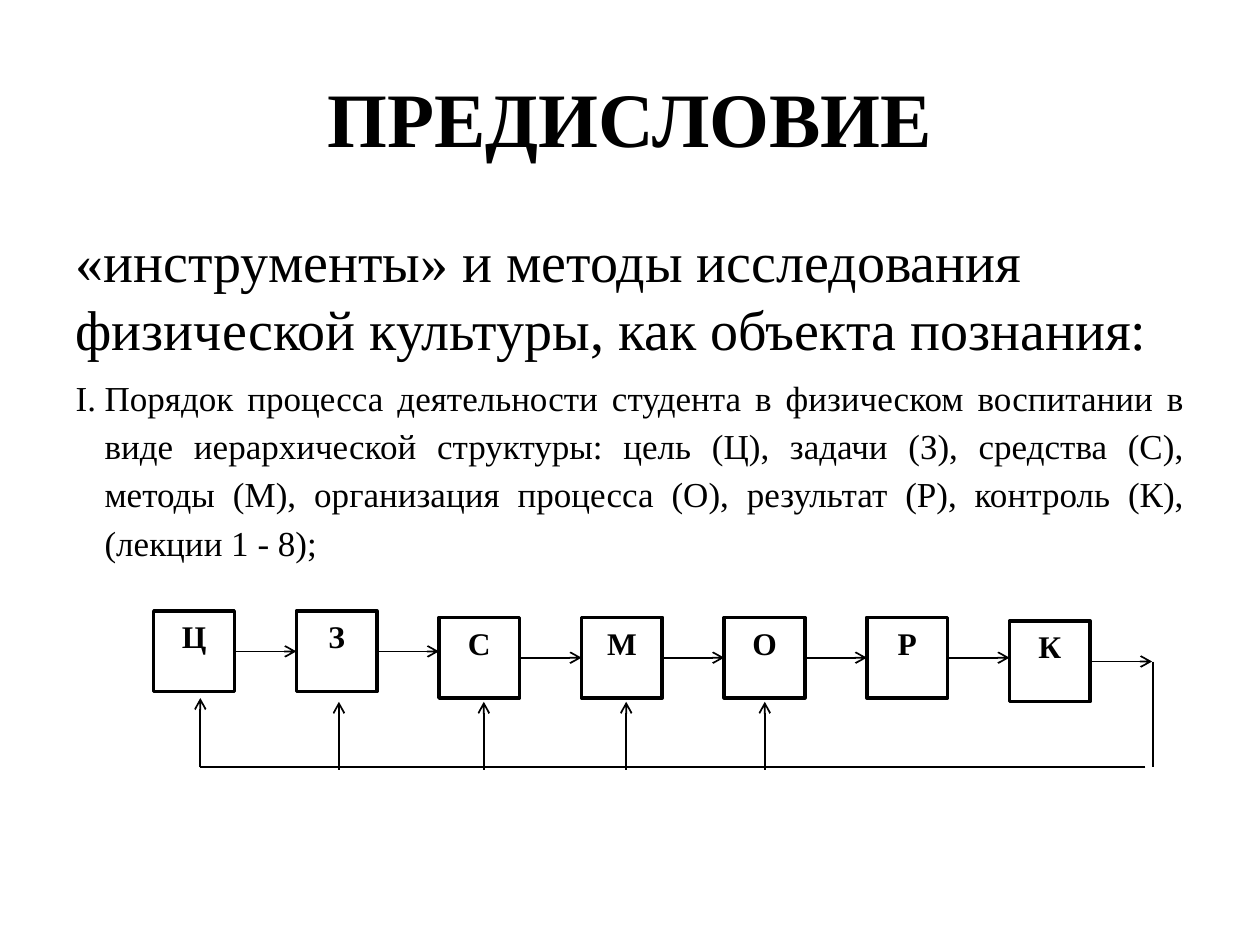
"""Build the preface slide: a heading, an intro with one numbered item, and a feedback chain of seven stages."""
from lxml import etree
from pptx import Presentation
from pptx.dml.color import RGBColor
from pptx.enum.shapes import MSO_CONNECTOR, MSO_SHAPE
from pptx.enum.text import MSO_ANCHOR, MSO_AUTO_SIZE, PP_ALIGN
from pptx.oxml.ns import qn
from pptx.util import Inches, Pt

STRAIGHT = MSO_CONNECTOR.STRAIGHT
RECTANGLE = MSO_SHAPE.RECTANGLE
TOP, MIDDLE = MSO_ANCHOR.TOP, MSO_ANCHOR.MIDDLE
CENTER, LEFT, JUSTIFY = PP_ALIGN.CENTER, PP_ALIGN.LEFT, PP_ALIGN.JUSTIFY
NO_AUTOFIT = MSO_AUTO_SIZE.NONE
LEFT_SIDE, RIGHT_SIDE = 1, 3
BLACK, WHITE = "000000", "FFFFFF"


def format_paragraph(paragraph, text, size, align, bold=False):
    paragraph.text = text
    paragraph.alignment = align
    paragraph.font.name = "Times New Roman"
    paragraph.font.size = Pt(size)
    paragraph.font.bold = bold
    paragraph.font.color.rgb = RGBColor.from_string(BLACK)


def add_line(x1, y1, x2, y2, arrow=True):
    line = slide.shapes.add_connector(STRAIGHT, Inches(x1), Inches(y1), Inches(x2), Inches(y2))
    line.line.color.rgb = RGBColor.from_string(BLACK)
    line.line.width = Pt(1)
    if arrow:
        etree.SubElement(line.line._get_or_add_ln(), qn("a:tailEnd"), type="arrow")
    etree.SubElement(line._element.spPr, qn("a:effectLst"))
    return line


presentation = Presentation()
presentation.slide_width, presentation.slide_height = Inches(10), Inches(7.5)
slide = presentation.slides.add_slide(presentation.slide_layouts[1])

heading, intro = slide.placeholders
for holder, top, height, anchor in ((heading, 0.3, 1.25, MIDDLE), (intro, 1.75, 4.95, TOP)):
    holder.left, holder.top = Inches(0.5), Inches(top)
    holder.width, holder.height = Inches(9), Inches(height)
    holder.text_frame.auto_size = NO_AUTOFIT
    holder.text_frame.vertical_anchor = anchor

format_paragraph(heading.text_frame.paragraphs[0], "ПРЕДИСЛОВИЕ", 44, CENTER, bold=True)

lead = intro.text_frame.paragraphs[0]
lead_properties = lead._p.get_or_add_pPr()
lead_properties.set("marL", "0")
lead_properties.set("indent", "0")
etree.SubElement(lead_properties, qn("a:buNone"))
lead.space_before = Pt(0)
format_paragraph(lead, "«инструменты» и методы исследования физической культуры, как объекта познания:",
                 32, LEFT)

item = intro.text_frame.add_paragraph()
item_properties = item._p.get_or_add_pPr()
hanging = Inches(0.23)
item_properties.set("marL", str(hanging))
item_properties.set("indent", str(-hanging))
etree.SubElement(item_properties, qn("a:buFont"), typeface="Times New Roman")
etree.SubElement(item_properties, qn("a:buAutoNum"), type="romanUcPeriod")
item.line_spacing = 1.15
item.space_before = Pt(5)
format_paragraph(item, "Порядок процесса деятельности студента в физическом воспитании в виде "
                 "иерархической структуры: цель (Ц), задачи (З), средства (С), методы (М), "
                 "организация процесса (О), результат (Р), контроль (К), (лекции 1 - 8);", 20, JUSTIFY)

chain_left, step, side = 1.22, 1.132, 0.64
stage_tops = (4.85, 4.85, 4.9, 4.9, 4.9, 4.9, 4.93)
stages = []
for column, (letter, top) in enumerate(zip("ЦЗСМОРК", stage_tops)):
    stage = slide.shapes.add_shape(RECTANGLE, Inches(chain_left + column * step), Inches(top),
                                   Inches(side), Inches(side))
    stage.shadow.inherit = False
    stage.fill.solid()
    stage.fill.fore_color.rgb = RGBColor.from_string(WHITE)
    stage.line.color.rgb = RGBColor.from_string(BLACK)
    stage.line.width = Pt(2)
    stage.text_frame.vertical_anchor = TOP
    format_paragraph(stage.text_frame.paragraphs[0], letter, 18, CENTER, bold=True)
    stages.append(stage)

for column, (stage, top) in enumerate(zip(stages, stage_tops)):
    start, level = chain_left + column * step + side, top + side / 2
    arrow = add_line(start, level, chain_left + (column + 1) * step, level)
    arrow.begin_connect(stage, RIGHT_SIDE)
    if stage_tops[column + 1:column + 2] == (top,):
        arrow.end_connect(stages[column + 1], LEFT_SIDE)

feedback_left, feedback_level = 1.59, 6.09
add_line(9.15, 5.25, 9.15, feedback_level, arrow=False)
add_line(9.09, feedback_level, feedback_left, feedback_level, arrow=False)
add_line(feedback_left, feedback_level, feedback_left, 5.54)
for x in (2.69, 3.84, 4.97, 6.07):
    add_line(x, 6.11, x, 5.57)

presentation.save("out.pptx")
